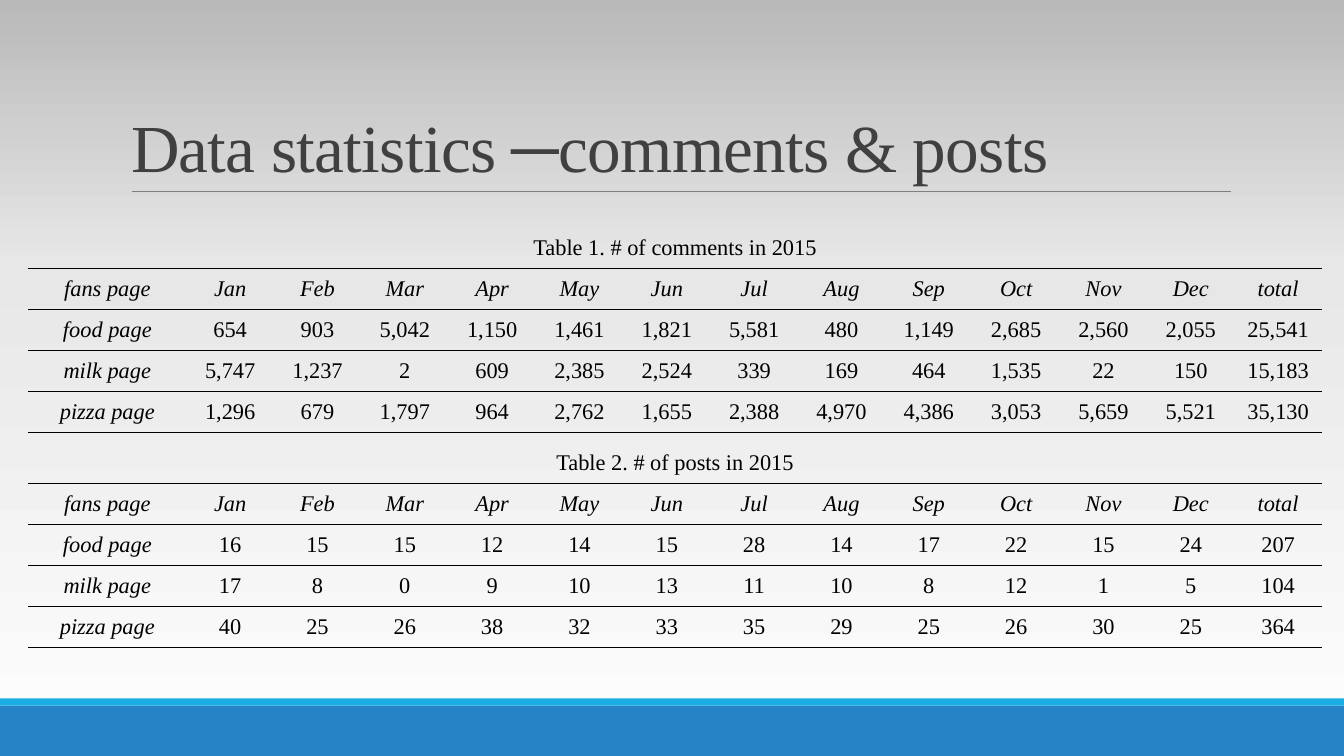
import copy
import dataclasses

import pptx
import pptx.dml.color
import pptx.enum.shapes
import pptx.enum.text
import pptx.oxml
import pptx.oxml.ns
import pptx.util

Inches = pptx.util.Inches
Pt = pptx.util.Pt
ALIGN = pptx.enum.text.PP_ALIGN
ANCHOR = pptx.enum.text.MSO_ANCHOR
qn = pptx.oxml.ns.qn


@dataclasses.dataclass(frozen=True)
class Theme:
    font: str = "Times New Roman"
    ink: str = "000000"
    head: str = "404040"
    rule: str = "808080"
    deep: str = "2683C6"
    bright: str = "1CADE4"
    back: tuple = ((0, "FEFEFE"), (0.65, "E7E7E7"), (1, "B9B9B9"))
    big: float = 48
    small: float = 16
    plain: str = "{2D5ABB26-0587-4C30-8999-92F81FD0307C}"


def tint(code):
    return pptx.dml.color.RGBColor.from_string(code)


def write(frame, text, font, size, color, slant=False, align=ALIGN.LEFT, lead=None, track=0):
    line = frame.paragraphs[0]
    line.alignment = align
    line.line_spacing = lead
    run = line.add_run()
    run.text = text
    run.font.name = font
    run.font.size = Pt(size)
    run.font.italic = slant
    run.font.bold = False
    run.font.color.rgb = tint(color)
    if track:
        run.font._element.set("spc", str(round(track * 100)))


def edge(cell, side, color, width):
    cell._tc.get_or_add_tcPr().insert(0, pptx.oxml.parse_xml(
        f'<a:{side} {pptx.oxml.ns.nsdecls("a")} w="{Pt(width)}"><a:solidFill>'
        f'<a:srgbClr val="{color}"/></a:solidFill></a:{side}>'))


class Page:
    def __init__(self, deck, theme):
        self.theme = theme
        self.slide = deck.slides.add_slide(deck.slide_layouts[5])

    def backdrop(self):
        fill = self.slide.background.fill
        fill.gradient()
        fill.gradient_angle = 90
        stops = next(self.slide.element.iter(qn("a:gsLst")))
        stops.append(copy.deepcopy(stops[-1]))
        for stop, (place, color) in zip(fill.gradient_stops, self.theme.back):
            stop.position = place
            stop.color.rgb = tint(color)

    def band(self, top, height, color):
        shape = self.slide.shapes.add_shape(
            pptx.enum.shapes.MSO_SHAPE.RECTANGLE,
            0, Inches(top), Inches(13.33), Inches(height))
        shape.shadow.inherit = False
        shape.fill.solid()
        shape.fill.fore_color.rgb = tint(color)
        shape.line.fill.background()

    def rule(self, left, right, top):
        line = self.slide.shapes.add_connector(
            pptx.enum.shapes.MSO_CONNECTOR.STRAIGHT,
            Inches(left), Inches(top), Inches(right), Inches(top))
        line.line.color.rgb = tint(self.theme.rule)
        line.line.width = Pt(0.5)
        props = line._element.spPr
        props.append(props.makeelement(qn("a:effectLst")))

    def title(self, text):
        shape = self.slide.shapes.title
        shape.left, shape.top = Inches(1.2), Inches(0.31)
        shape.width, shape.height = Inches(11), Inches(1.59)
        frame = shape.text_frame
        frame.word_wrap = True
        frame.auto_size = pptx.enum.text.MSO_AUTO_SIZE.NONE
        frame.vertical_anchor = ANCHOR.BOTTOM
        write(frame, text, self.theme.font, self.theme.big, self.theme.head,
              lead=0.85, track=-0.5)

    def table(self, top, name, rows):
        theme = self.theme
        wide, first, high = 12.83, 1.57, 2.03
        count, span = len(rows) + 1, len(rows[0])
        grid = self.slide.shapes.add_table(
            count, span, Inches(0.28), Inches(top), Inches(wide), Inches(high)).table
        grid.first_row = grid.horz_banding = False
        grid._tbl.tblPr.find(qn("a:tableStyleId")).text = theme.plain
        for spot, col in enumerate(grid.columns):
            col.width = Inches((wide - first) / (span - 1) if spot else first)
        for row in grid.rows:
            row.height = Inches(high / count)
        grid.cell(0, 0).merge(grid.cell(0, span - 1))
        ruled = (0, 1, 2, count - 1)
        for y, row in enumerate([[name] + [""] * (span - 1)] + rows):
            for x, text in enumerate(row):
                cell = grid.cell(y, x)
                cell.fill.background()
                cell.vertical_anchor = ANCHOR.MIDDLE
                if y in ruled:
                    edge(cell, "lnB", theme.ink, 1)
                if y - 1 in ruled:
                    edge(cell, "lnT", theme.ink, 1)
                if text:
                    write(cell.text_frame, text, theme.font, theme.small, theme.ink,
                          slant=y == 1 or (y > 1 and x == 0), align=ALIGN.CENTER)


HEADS = "Jan Feb Mar Apr May Jun Jul Aug Sep Oct Nov Dec total".split()
PAGES = ["food page", "milk page", "pizza page"]
NOTES = [
    [654, 903, 5042, 1150, 1461, 1821, 5581, 480, 1149, 2685, 2560, 2055, 25541],
    [5747, 1237, 2, 609, 2385, 2524, 339, 169, 464, 1535, 22, 150, 15183],
    [1296, 679, 1797, 964, 2762, 1655, 2388, 4970, 4386, 3053, 5659, 5521, 35130],
]
POSTS = [
    [16, 15, 15, 12, 14, 15, 28, 14, 17, 22, 15, 24, 207],
    [17, 8, 0, 9, 10, 13, 11, 10, 8, 12, 1, 5, 104],
    [40, 25, 26, 38, 32, 33, 35, 29, 25, 26, 30, 25, 364],
]


def main():
    deck = pptx.Presentation()
    deck.slide_width, deck.slide_height = Inches(13.33), Inches(7.5)
    theme = Theme()
    page = Page(deck, theme)
    page.backdrop()
    page.band(7, 0.5, theme.deep)
    page.band(6.93, 0.07, theme.bright)
    page.rule(1.31, 12.21, 1.9)
    page.title("Data statistics ─comments & posts")
    for top, name, data in (
        (2.26, "Table 1. # of comments in 2015", NOTES),
        (4.39, "Table 2. # of posts in 2015", POSTS),
    ):
        rows = [[label] + [f"{value:,}" for value in line]
                for label, line in zip(PAGES, data)]
        page.table(top, name, [["fans page"] + HEADS] + rows)
    deck.save("out.pptx")


if __name__ == "__main__":
    main()
